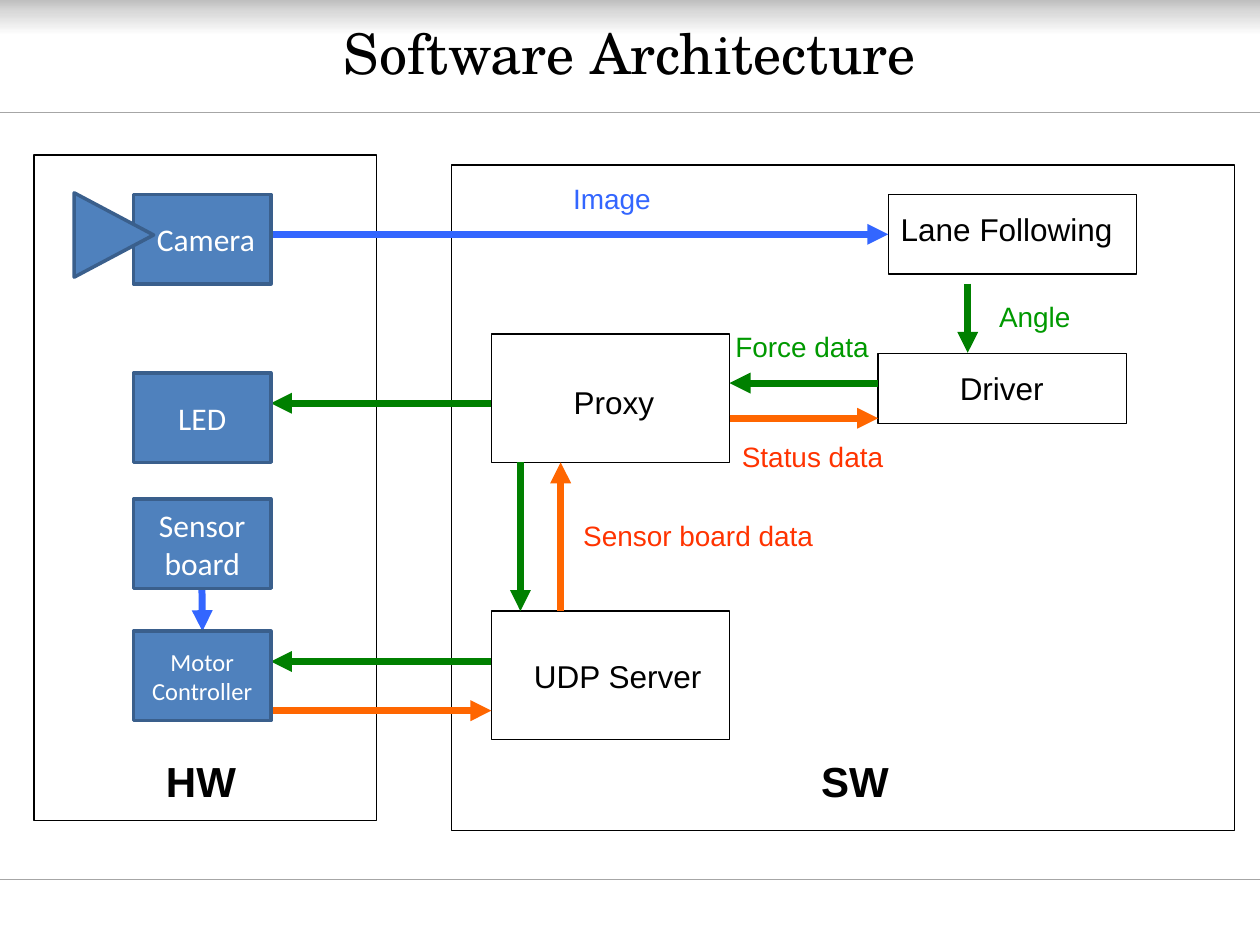
from copy import deepcopy

from lxml import etree
from pptx import Presentation
from pptx.dml.color import RGBColor
from pptx.enum.shapes import MSO_CONNECTOR, MSO_SHAPE
from pptx.enum.text import MSO_ANCHOR, PP_ALIGN
from pptx.oxml.ns import qn
from pptx.util import Pt

RECT = MSO_SHAPE.RECTANGLE
WEDGE = MSO_SHAPE.ISOSCELES_TRIANGLE
STRAIGHT = MSO_CONNECTOR.STRAIGHT
MIDDLE, TOP = MSO_ANCHOR.MIDDLE, MSO_ANCHOR.TOP
LEFT, CENTER = PP_ALIGN.LEFT, PP_ALIGN.CENTER

BLACK = RGBColor(0x00, 0x00, 0x00)
WHITE = RGBColor(0xFF, 0xFF, 0xFF)
RULE = RGBColor(0xA6, 0xA6, 0xA6)
DARK = RGBColor(0xBF, 0xBF, 0xBF)
LIGHT = RGBColor(0xD9, 0xD9, 0xD9)
STEEL = RGBColor(0x4F, 0x81, 0xBD)
EDGE = RGBColor(0x3A, 0x5F, 0x8C)
BLUE = RGBColor(0x33, 0x66, 0xFF)
GREEN = RGBColor(0x00, 0x80, 0x00)
LEAF = RGBColor(0x00, 0x99, 0x00)
ORANGE = RGBColor(0xFF, 0x66, 0x00)
RED = RGBColor(0xFF, 0x33, 0x00)

# Shared edges of the diagram, in points
PART_X, PART_W, PART_H = 76.3, 78.5, 51.1
PART_END = PART_X + PART_W
HOST_X, HOST_W, HOST_H = 280.8, 136.1, 73.4
HOST_END = HOST_X + HOST_W
PROXY_Y, UDP_Y = 190.8, 349.2
PROXY_END = PROXY_Y + HOST_H
LANE_X, DRIVE_X = 507.6, 501.8
SENSE_Y, MOTOR_Y = 285.1, 360.7

FRAMES = [
    (19.4, 88.6, 195.8, 380.2),
    (257.8, 94.3, 447.8, 380.2),
    (HOST_X, PROXY_Y, HOST_W, HOST_H),
    (HOST_X, UDP_Y, HOST_W, HOST_H),
    (LANE_X, 111.2, 141.8, 45.4),
    (DRIVE_X, 202, 141.8, 39.9),
]
LABELS = [  # text, left, top, width, size, colour
    ("HW", 87.8, 428.4, 56, 24, BLACK),
    ("SW", 462.2, 428.4, 56, 24, BLACK),
    ("Proxy", 320.7, 215.3, 63, 18, BLACK),
    ("Lane Following", 507.6, 116.6, 137, 18, BLACK),
    ("Driver", 541.4, 207.4, 64, 18, BLACK),
    ("UDP Server", 298, 372.2, 112, 18, BLACK),
    ("Image", 320.4, 100, 61, 16, BLUE),
    ("Angle", 563.8, 167.8, 57, 16, LEAF),
    ("Force data", 413.1, 185, 93, 16, LEAF),
    ("Status data", 416.9, 247.4, 161, 16, RED),
    ("Sensor board data", 326.2, 292.6, 161, 16, RED),
]
ARROWS = [  # start x, start y, end x, end y, colour
    (PART_END, 133.9, LANE_X, 133.9, BLUE),
    (553, 162, 553, 201.6, GREEN),
    (DRIVE_X, 218.9, HOST_END, 218.9, GREEN),
    (HOST_END, 239, DRIVE_X, 239, ORANGE),
    (297.4, PROXY_END, 297.4, UDP_Y, GREEN),
    (320.4, UDP_Y, 320.4, PROXY_END, ORANGE),
    (HOST_X, 378, PART_END, 378, GREEN),
    (PART_END, 406.1, HOST_X, 406.1, ORANGE),
    (HOST_X, 230.4, PART_END, 230.4, GREEN),
    (115.4, SENSE_Y + PART_H, 115.7, MOTOR_Y, BLUE),
]


def put_shape(slide, kind, box, fill=None, edge=None, weight=0.75):
    shape = slide.shapes.add_shape(kind, *map(Pt, box))
    shape.shadow.inherit = False
    if fill is None:
        shape.fill.background()
    else:
        shape.fill.solid()
        shape.fill.fore_color.rgb = fill
    if edge is None:
        shape.line.fill.background()
    else:
        shape.line.color.rgb = edge
        shape.line.width = Pt(weight)
    return shape


def put_text(shape, text, size, color, face="Arial", align=LEFT, anchor=TOP):
    frame = shape.text_frame
    frame.word_wrap = True
    frame.vertical_anchor = anchor
    line = frame.paragraphs[0]
    line.text = text
    line.alignment = align
    line.font.size = Pt(size)
    line.font.name = face
    line.font.color.rgb = color
    return line


def put_line(slide, ends, color, weight):
    line = slide.shapes.add_connector(STRAIGHT, *map(Pt, ends))
    line.line.color.rgb = color
    line.line.width = Pt(weight)
    etree.SubElement(line._element.spPr, qn("a:effectLst"))
    return line


def put_arrow(slide, ends, color):
    stroke = put_line(slide, ends, color, 4).line._get_or_add_ln()
    etree.SubElement(stroke, qn("a:tailEnd"), type="triangle")


def put_part(slide, text, top, size=18):
    """Add a filled hardware block."""
    part = put_shape(slide, RECT, (PART_X, top, PART_W, PART_H), STEEL, EDGE, 2)
    put_text(part, text, size, WHITE, "Calibri", CENTER, MIDDLE)
    return part


def put_band(slide):
    """Add the fading band along the top edge."""
    band = put_shape(slide, RECT, (0, 0, 720, 20.2))
    band.fill.gradient()
    band.fill.gradient_angle = 270
    stops = band._element.spPr.find(".//" + qn("a:gsLst"))
    stops.insert(1, deepcopy(stops[0]))
    stops[1].set("pos", "34000")
    for stop, color in zip(band.fill.gradient_stops, (DARK, LIGHT, WHITE)):
        stop.color.rgb = color


def main():
    deck = Presentation()
    deck.slide_width, deck.slide_height = Pt(720), Pt(540)
    slide = deck.slides.add_slide(deck.slide_layouts[6])

    put_band(slide)
    for y in (64.1, 502.6):
        put_line(slide, (0, y, 720, y), RULE, 0.75)
    title = slide.shapes.add_textbox(Pt(36), Pt(2.2), Pt(648), Pt(55.4))
    put_text(title, "Software Architecture", 32, BLACK,
             "TeX Gyre Schola", CENTER, MIDDLE)

    for box in FRAMES:
        put_shape(slide, RECT, box, edge=BLACK)
    for text, left, top, width, size, color in LABELS:
        box = map(Pt, (left, top, width, size * 1.6))
        line = put_text(slide.shapes.add_textbox(*box), text, size, color)
        line.font.bold = size == 24
    for *ends, color in ARROWS:
        put_arrow(slide, ends, color)

    camera = put_part(slide, "Camera", 111.2)
    camera.text_frame.margin_left = Pt(11.2)
    lens = put_shape(slide, WEDGE, (41, 111.6, 48.2, 45.4), STEEL, EDGE, 2)
    lens.rotation = 90
    put_part(slide, "LED", 213.1)
    put_part(slide, "Motor Controller", MOTOR_Y, 14)
    put_part(slide, "Sensor board", SENSE_Y)

    deck.save("out.pptx")


if __name__ == "__main__":
    main()
